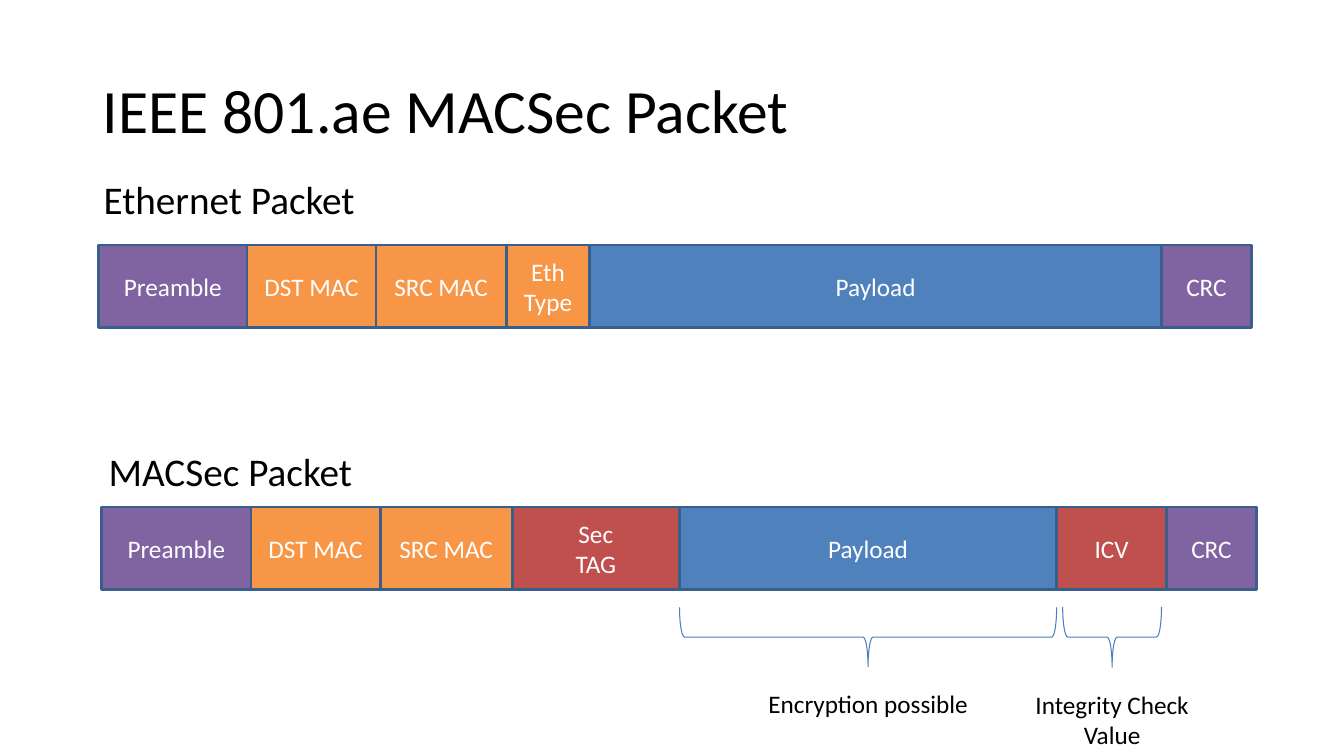
from dataclasses import dataclass

from pptx import Presentation
from pptx import util as u
from pptx.dml import color
from pptx.enum import shapes, text

FONT = "Calibri"
COLORS = {
    "frame": "8064A2",
    "header": "F79646",
    "payload": "4F81BD",
    "security": "C0504D",
    "outline": "3A5F8C",
    "brace": "4B7EBC",
    "black": "000000",
    "white": "FFFFFF",
}
FIELD_HEIGHT = 0.82
BRACE_CENTER_Y = 6.32


@dataclass
class Field:
    lines: list[str]
    width: float
    role: str


@dataclass
class Packet:
    heading: str
    heading_left: float
    heading_top: float
    left: float
    top: float
    fields: list[Field]


@dataclass
class Annotation:
    caption: str
    left: float
    top: float
    width: float
    height: float
    brace_center: float
    brace_span: float
    brace_depth: float


PACKETS = [
    Packet("Ethernet Packet", 0.93, 1.69, 0.98, 2.43, [
        Field(["Preamble"], 1.47, "frame"),
        Field(["DST MAC"], 1.28, "header"),
        Field(["SRC MAC"], 1.29, "header"),
        Field(["Eth", "Type"], 0.83, "header"),
        Field(["Payload"], 5.67, "payload"),
        Field(["CRC"], 0.89, "frame"),
    ]),
    Packet("MACSec Packet", 0.98, 4.39, 1.01, 5.03, [
        Field(["Preamble"], 1.48, "frame"),
        Field(["DST MAC"], 1.28, "header"),
        Field(["SRC MAC"], 1.31, "header"),
        Field(["Sec", "TAG"], 1.66, "security"),
        Field(["Payload"], 3.74, "payload"),
        Field(["ICV"], 1.09, "security"),
        Field(["CRC"], 0.89, "frame"),
    ]),
]

ANNOTATIONS = [
    Annotation("Encryption possible", 6.87, 6.78, 3.48, 0.4, 8.61, 3.74, 0.59),
    Annotation("Integrity Check Value", 9.89, 6.79, 2.28, 0.7, 11.03, 0.98, 0.6),
]


def rgb(name: str) -> color.RGBColor:
    return color.RGBColor.from_string(COLORS[name])


def box(left: float, top: float, width: float, height: float) -> tuple:
    return tuple(u.Inches(value) for value in (left, top, width, height))


def write(frame, lines: list[str], size: int, ink: str = "black",
          align=text.PP_ALIGN.LEFT, anchor=text.MSO_ANCHOR.TOP) -> None:
    frame.word_wrap = True
    frame.vertical_anchor = anchor
    for index, line in enumerate(lines):
        paragraph = frame.paragraphs[0] if index == 0 else frame.add_paragraph()
        paragraph.alignment = align
        run = paragraph.add_run()
        run.text = line
        run.font.name = FONT
        run.font.size = u.Pt(size)
        run.font.color.rgb = rgb(ink)


def draw_packet(slide, packet: Packet) -> None:
    heading = slide.shapes.add_textbox(
        *box(packet.heading_left, packet.heading_top, 2.94, 0.64))
    write(heading.text_frame, [packet.heading], 28)

    # Fields follow one another without gaps
    left = packet.left
    for field in packet.fields:
        cell = slide.shapes.add_shape(
            shapes.MSO_SHAPE.RECTANGLE,
            *box(left, packet.top, field.width, FIELD_HEIGHT))
        cell.shadow.inherit = False
        cell.fill.solid()
        cell.fill.fore_color.rgb = rgb(field.role)
        cell.line.color.rgb = rgb("outline")
        cell.line.width = u.Pt(2)
        write(cell.text_frame, field.lines, 18, "white",
              text.PP_ALIGN.CENTER, text.MSO_ANCHOR.MIDDLE)
        left += field.width


def draw_annotation(slide, note: Annotation) -> None:
    # A left brace turned to point down at its caption
    brace = slide.shapes.add_shape(
        shapes.MSO_SHAPE.LEFT_BRACE,
        *box(note.brace_center - note.brace_depth / 2,
             BRACE_CENTER_Y - note.brace_span / 2,
             note.brace_depth, note.brace_span))
    brace.rotation = 270
    brace.shadow.inherit = False
    brace.fill.background()
    brace.line.color.rgb = rgb("brace")
    brace.line.width = u.Pt(0.75)

    caption = slide.shapes.add_textbox(
        *box(note.left, note.top, note.width, note.height))
    write(caption.text_frame, [note.caption], 18, align=text.PP_ALIGN.CENTER)


def main() -> None:
    deck = Presentation()
    deck.slide_width, deck.slide_height = u.Inches(13.33), u.Inches(7.5)
    slide = deck.slides.add_slide(deck.slide_layouts.get_by_name("Title Only"))

    # Title
    title = slide.shapes.title
    title.left, title.top, title.width, title.height = box(0.92, 0.4, 11.5, 1.45)
    write(title.text_frame, ["IEEE 801.ae MACSec Packet"], 44,
          anchor=text.MSO_ANCHOR.MIDDLE)
    title.text_frame.paragraphs[0].line_spacing = 0.9

    # Packet layouts
    for packet in PACKETS:
        draw_packet(slide, packet)

    # Braces and captions under the MACSec packet
    for note in ANNOTATIONS:
        draw_annotation(slide, note)

    deck.save("out.pptx")


if __name__ == "__main__":
    main()
